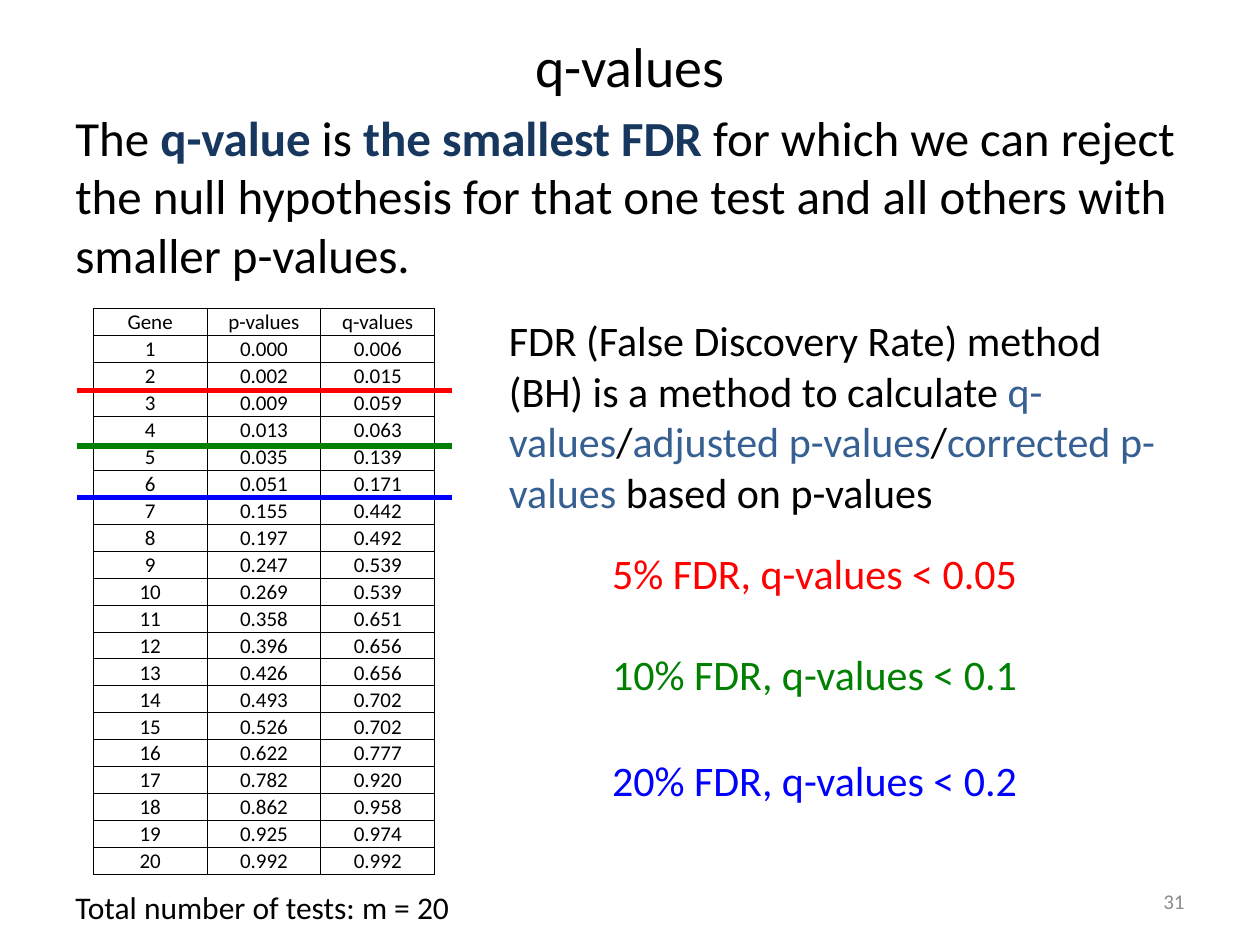
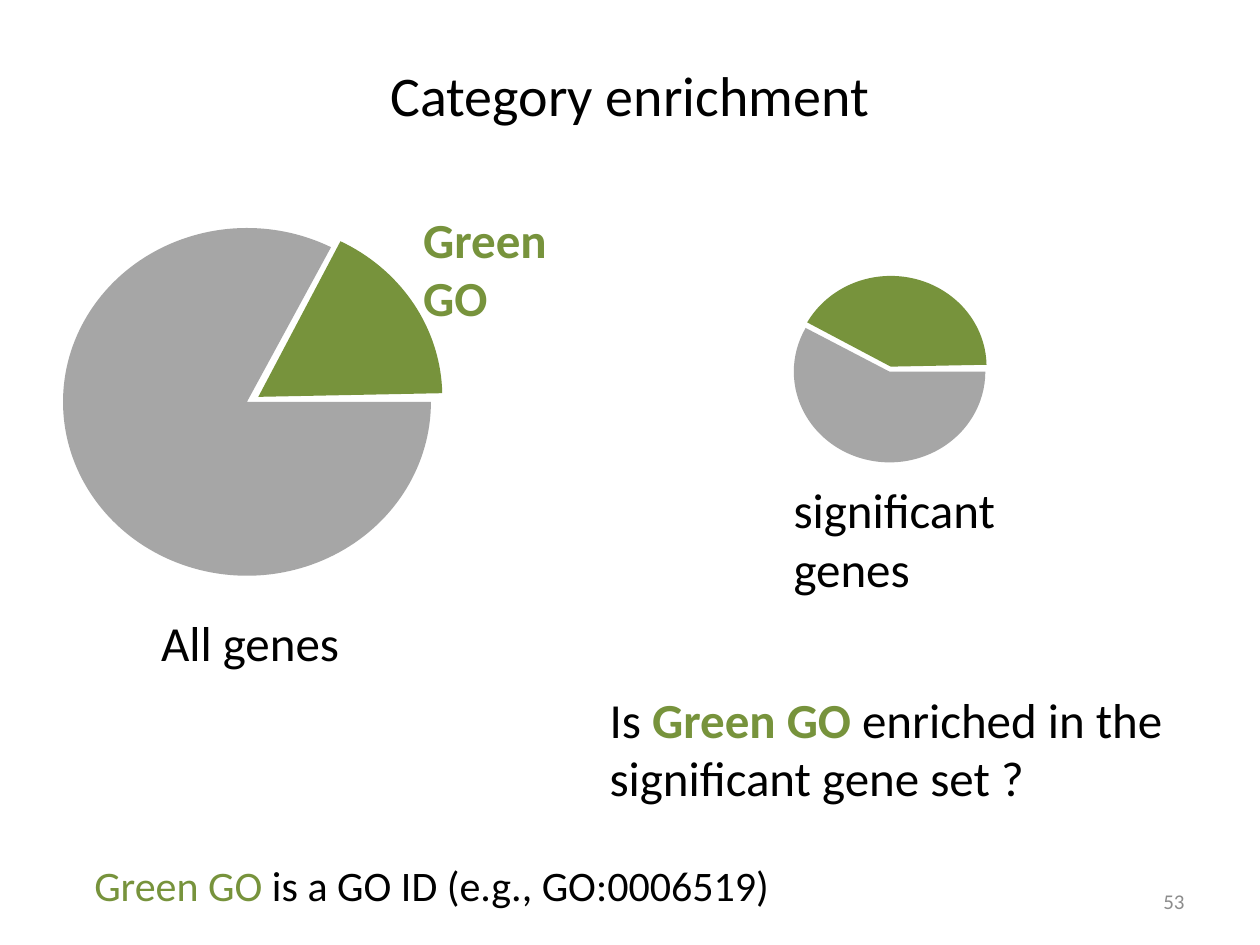
from lxml import etree
from pptx import Presentation
from pptx.dml.color import RGBColor
from pptx.enum import shapes, text
from pptx.oxml import ns
from pptx.util import Inches, Pt

BLACK = RGBColor(0x00, 0x00, 0x00)
NAVY = RGBColor(0x17, 0x37, 0x5E)
STEEL = RGBColor(0x37, 0x60, 0x92)
RED = RGBColor(0xFF, 0x00, 0x00)
GREEN = RGBColor(0x00, 0x80, 0x00)
BLUE = RGBColor(0x00, 0x00, 0xFF)
OLIVE = RGBColor(0x77, 0x93, 0x3C)
GRAY = RGBColor(0xA6, 0xA6, 0xA6)
PAGE_GRAY = RGBColor(0x8C, 0x8C, 0x8C)

P_VALUES = """0.000 0.002 0.009 0.013 0.035 0.051 0.155 0.197 0.247 0.269
0.358 0.396 0.426 0.493 0.526 0.622 0.782 0.862 0.925 0.992""".split()
Q_VALUES = """0.006 0.015 0.059 0.063 0.139 0.171 0.442 0.492 0.539 0.539
0.651 0.656 0.656 0.702 0.702 0.777 0.920 0.958 0.974 0.992""".split()

# Label, colour, height of the cut-off line, top of the label
CUTOFFS = [
    ("5% FDR, q-values < 0.05", RED, 3.1, 4.22),
    ("10% FDR, q-values < 0.1", GREEN, 3.54, 5.02),
    ("20% FDR, q-values < 0.2", BLUE, 3.95, 5.86),
]

# Left, top, width, height, start and end angle, colour
PIE_SECTORS = [
    (0.5, 1.81, 2.92, 2.76, 0, 298.53, GRAY),
    (0.59, 1.77, 2.92, 2.76, 297.83, 358.87, OLIVE),
    (6.3, 2.23, 1.52, 1.44, 0, 207.52, GRAY),
    (6.31, 2.19, 1.52, 1.44, 207.89, 358.87, OLIVE),
]


class SlideBuilder:
    """Holds the shared style and the slide being filled."""

    font = "Calibri"

    def __init__(self, deck):
        self.deck = deck
        self.page = None

    def style(self, para, size, color=BLACK, align=text.PP_ALIGN.LEFT):
        para.font.name = self.font
        para.font.size = Pt(size)
        para.font.color.rgb = color
        para.alignment = align

    def start(self, title, top, height, number):
        self.page = self.deck.slides.add_slide(self.deck.slide_layouts[5])
        heading = self.page.shapes.title
        heading.left, heading.top = Inches(0.5), Inches(top)
        heading.width, heading.height = Inches(9), Inches(height)
        frame = heading.text_frame
        frame.text = title
        frame.auto_size = text.MSO_AUTO_SIZE.NONE
        frame.vertical_anchor = text.MSO_ANCHOR.MIDDLE
        self.style(frame.paragraphs[0], 32, align=text.PP_ALIGN.CENTER)
        # Page number
        box = self.label([[(str(number),)]], 7.17, 6.95, 2.33, 0.4, 12,
                         PAGE_GRAY, align=text.PP_ALIGN.RIGHT, grow=False)
        box.text_frame.vertical_anchor = text.MSO_ANCHOR.MIDDLE

    def label(self, paragraphs, left, top, width, height, size, color=BLACK,
              align=text.PP_ALIGN.LEFT, wrap=True, grow=True, spacing=None):
        """Each paragraph is a list of spans: (words, colour, bold)."""
        box = self.page.shapes.add_textbox(
            Inches(left), Inches(top), Inches(width), Inches(height))
        frame = box.text_frame
        frame.word_wrap = wrap
        if grow:
            frame.auto_size = text.MSO_AUTO_SIZE.SHAPE_TO_FIT_TEXT
        for index, spans in enumerate(paragraphs):
            para = frame.add_paragraph() if index else frame.paragraphs[0]
            self.style(para, size, color, align)
            para.line_spacing = spacing
            for words, *emphasis in spans:
                span = para.add_run()
                span.text = words
                if emphasis:
                    span.font.color.rgb = emphasis[0]
                    span.font.bold = emphasis[1]
        return box

    def rule(self, left, right, y, color):
        line = self.page.shapes.add_connector(
            shapes.MSO_CONNECTOR.STRAIGHT,
            Inches(left), Inches(y), Inches(right), Inches(y))
        line.line.color.rgb = color
        line.line.width = Pt(3)
        etree.SubElement(line.element.spPr, ns.qn("a:effectLst"))

    def sector(self, left, top, width, height, start, end, color):
        pie = self.page.shapes.add_shape(
            shapes.MSO_SHAPE.PIE,
            Inches(left), Inches(top), Inches(width), Inches(height))
        # Angles are stored in 60000ths of a degree, adjustments in 100000ths
        pie.adjustments[0] = start * 0.6
        pie.adjustments[1] = end * 0.6
        pie.fill.solid()
        pie.fill.fore_color.rgb = color
        pie.line.fill.background()
        pie.shadow.inherit = False

    def border(self, cell):
        properties = cell._tc.get_or_add_tcPr()
        for index, side in enumerate(("lnL", "lnR", "lnT", "lnB")):
            edge = etree.Element(ns.qn("a:" + side), w=str(Pt(0.5)))
            fill = etree.SubElement(edge, ns.qn("a:solidFill"))
            etree.SubElement(fill, ns.qn("a:srgbClr"), val=str(BLACK))
            properties.insert(index, edge)

    def table(self, rows, left, top, width, height):
        grid = self.page.shapes.add_table(
            len(rows), len(rows[0]),
            Inches(left), Inches(top), Inches(width), Inches(height)).table
        grid.first_row = grid.horz_banding = False
        for row, values in zip(grid.rows, rows):
            row.height = Inches(height / len(rows))
            for cell, value in zip(row.cells, values):
                cell.text = value
                cell.vertical_anchor = text.MSO_ANCHOR.BOTTOM
                cell.margin_left = cell.margin_right = Inches(0.01)
                cell.margin_top, cell.margin_bottom = Inches(0.01), 0
                cell.fill.background()
                self.style(cell.text_frame.paragraphs[0], 12,
                           align=text.PP_ALIGN.CENTER)
                self.border(cell)


def add_q_values(builder):
    builder.start("q-values", 0.21, 0.62, 31)

    # Definition
    builder.label([[
        ("The ",), ("q-value ", NAVY, True), ("is ",),
        ("the smallest FDR ", NAVY, True),
        ("for which we can reject the null hypothesis for that one test "
         "and all others with smaller p-values.",),
    ]], 0.5, 0.8, 9.17, 1.48, 28, grow=False)

    # Gene table
    genes = [(str(gene), p, q)
             for gene, (p, q) in enumerate(zip(P_VALUES, Q_VALUES), 1)]
    builder.table([("Gene", "p-values", "q-values")] + genes,
                  0.74, 2.45, 2.71, 4.49)
    builder.label([[("Total number of tests: m = 20",)]],
                  0.5, 7, 3.23, 0.4, 18, wrap=False)

    # Cut-offs
    for caption, color, line_y, caption_top in CUTOFFS:
        builder.rule(0.61, 3.59, line_y, color)
        builder.label([[(caption,)]], 4.76, caption_top, 3.6, 0.57, 24, color,
                      spacing=1.2)

    # Method
    builder.label([[
        ("FDR (False Discovery Rate) method (BH) is a method to calculate ",),
        ("q-values", STEEL, False), ("/",),
        ("adjusted p-values", STEEL, False), ("/",),
        ("corrected p-values", STEEL, False), (" based on p-values",),
    ]], 3.94, 2.45, 5.56, 1.72, 24)


def add_category_enrichment(builder):
    builder.start("Category enrichment", 0.3, 0.9, 53)

    # Pies
    for sector in PIE_SECTORS:
        builder.sector(*sector)

    # Pie labels
    builder.label([[("All genes",)]], 1.18, 4.81, 1.63, 0.57, 28, wrap=False)
    builder.label([[("significant",)], [("genes",)]],
                  6.2, 3.76, 1.83, 1.04, 28, wrap=False)
    builder.label([[("Green GO", OLIVE, True)]], 3.26, 1.61, 1.22, 1.04, 28)

    # Question and note
    builder.label([[
        ("Is ",), ("Green GO", OLIVE, True),
        (" enriched in the significant gene set ?",),
    ]], 4.74, 5.42, 4.67, 1.04, 28)
    builder.label([[
        ("Green GO ", OLIVE, False), ("is a GO ID (e.g., GO:0006519)",),
    ]], 0.65, 6.77, 5.6, 0.5, 24, wrap=False)


def main():
    deck = Presentation()
    deck.slide_width, deck.slide_height = Inches(10), Inches(7.5)
    builder = SlideBuilder(deck)
    add_q_values(builder)
    add_category_enrichment(builder)
    deck.save("out.pptx")


if __name__ == "__main__":
    main()
